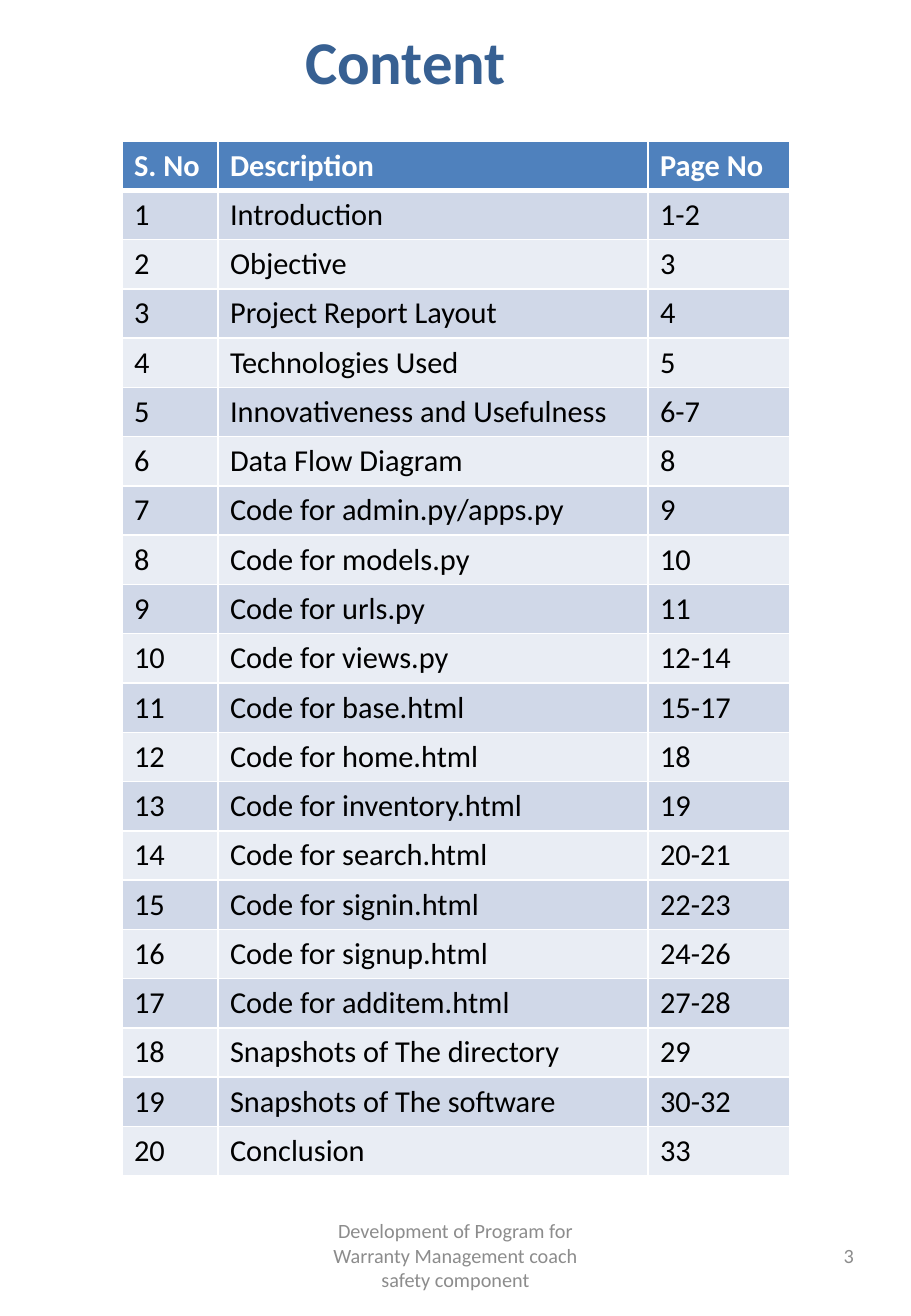
from pptx import Presentation
from pptx.dml.color import RGBColor as RGB
from pptx.enum.text import MSO_ANCHOR as ANCHOR, MSO_AUTO_SIZE as AUTO, PP_ALIGN as ALIGN
from pptx.oxml import parse_xml
from pptx.oxml.ns import nsdecls
from pptx.util import Pt

PX = 914400 / 121.5
COLORS = {"title": "376092", "header": "4F81BD", "odd": "D0D8E8", "even": "E9EDF4",
          "white": "FFFFFF", "black": "000000", "footer": "8C8C8C"}


def px(n):
    return round(n * PX)


def add_run(p, text, size, color, bold=False):
    r = p.add_run()
    r.text = text
    r.font.name = "Calibri"
    r.font.size = Pt(size)
    r.font.bold = bold
    r.font.color.rgb = RGB.from_string(COLORS[color])


prs = Presentation()
prs.slide_width, prs.slide_height = px(911), px(1316)
s = prs.slides.add_slide(prs.slide_layouts[6])

# Title, footer and page number
texts = [
    ("Content", (264, 18, 283, 86), 36, "title", True, ALIGN.CENTER, ANCHOR.TOP),
    ("Development of Program for Warranty Management coach safety component",
     (311, 1220, 289, 70), 12, "footer", False, ALIGN.CENTER, ANCHOR.MIDDLE),
    ("3", (654, 1220, 212, 70), 12, "footer", False, ALIGN.RIGHT, ANCHOR.MIDDLE),
]
for text, box, size, color, bold, align, anchor in texts:
    tf = s.shapes.add_textbox(*map(px, box)).text_frame
    tf.word_wrap = True
    tf.auto_size = AUTO.NONE
    tf.vertical_anchor = anchor
    p = tf.paragraphs[0]
    p.alignment = align
    add_run(p, text, size, color, bold)

# Table of contents
contents = [
    ("Introduction", "1-2"),
    ("Objective", "3"),
    ("Project Report Layout", "4"),
    ("Technologies Used", "5"),
    ("Innovativeness and Usefulness", "6-7"),
    ("Data Flow Diagram", "8"),
    ("Code for admin.py/apps.py", "9"),
    ("Code for models.py", "10"),
    ("Code for urls.py", "11"),
    ("Code for views.py", "12-14"),
    ("Code for base.html", "15-17"),
    ("Code for home.html", "18"),
    ("Code for inventory.html", "19"),
    ("Code for search.html", "20-21"),
    ("Code for signin.html", "22-23"),
    ("Code for signup.html", "24-26"),
    ("Code for additem.html", "27-28"),
    ("Snapshots of The directory", "29"),
    ("Snapshots of The software", "30-32"),
    ("Conclusion", "33"),
]
rows = [("S. No", "Description", "Page No")]
rows += [(str(n), *entry) for n, entry in enumerate(contents, 1)]
widths = [96, 430, 142]
ROW_H = 49

table = s.shapes.add_table(len(rows), len(widths), px(122), px(141),
                           px(sum(widths)), px(ROW_H * len(rows))).table
for column, width in zip(table.columns, widths):
    column.width = px(width)

for i, row in enumerate(rows):
    table.rows[i].height = px(ROW_H)
    fill = "header" if i == 0 else "odd" if i % 2 else "even"
    for j, text in enumerate(row):
        cell = table.cell(i, j)
        # White rules, thicker between the header and the entries
        for side in "LRTB":
            thick = (i, side) in ((0, "B"), (1, "T"))
            cell._tc.get_or_add_tcPr().append(parse_xml(
                f'<a:ln{side} {nsdecls("a")} w="{Pt(3 if thick else 1)}"><a:solidFill>'
                f'<a:srgbClr val="{COLORS["white"]}"/></a:solidFill></a:ln{side}>'))
        cell.fill.solid()
        cell.fill.fore_color.rgb = RGB.from_string(COLORS[fill])
        add_run(cell.text_frame.paragraphs[0], text, 18,
                "black" if i else "white", bold=i == 0)

prs.save("out.pptx")
